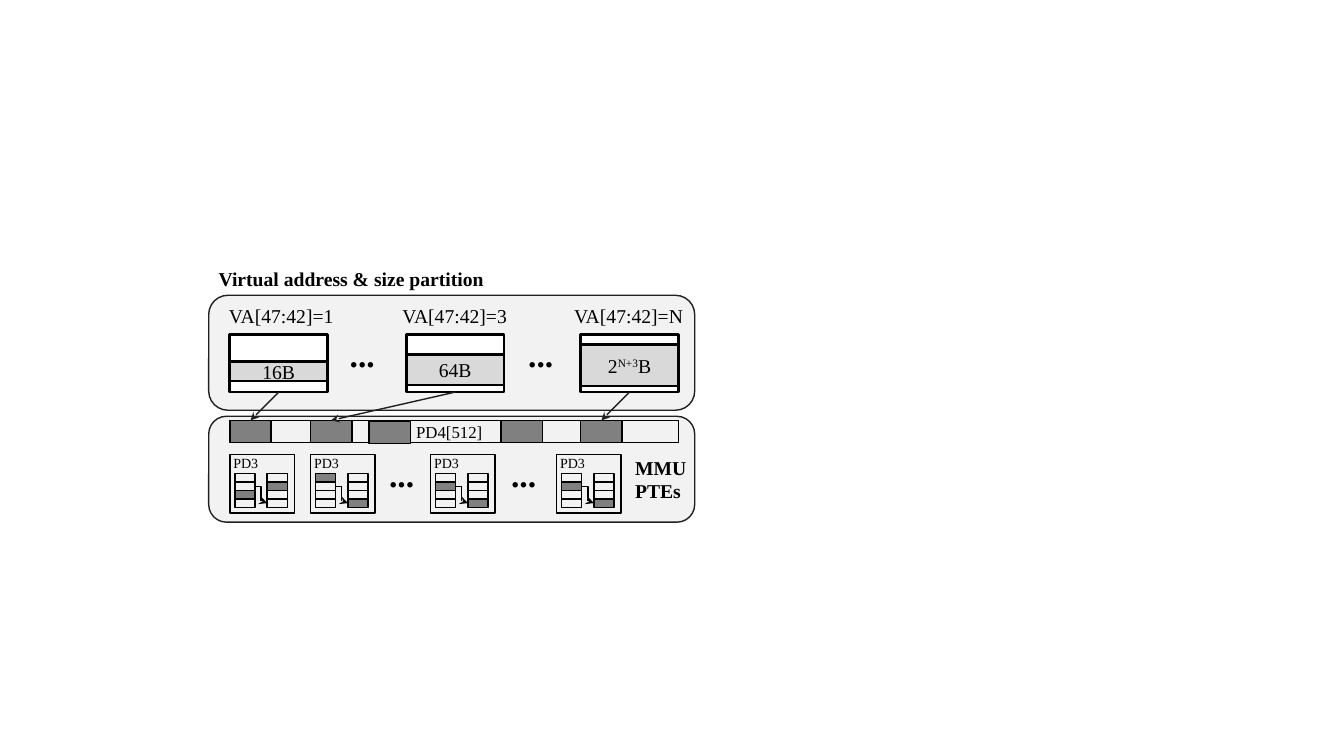
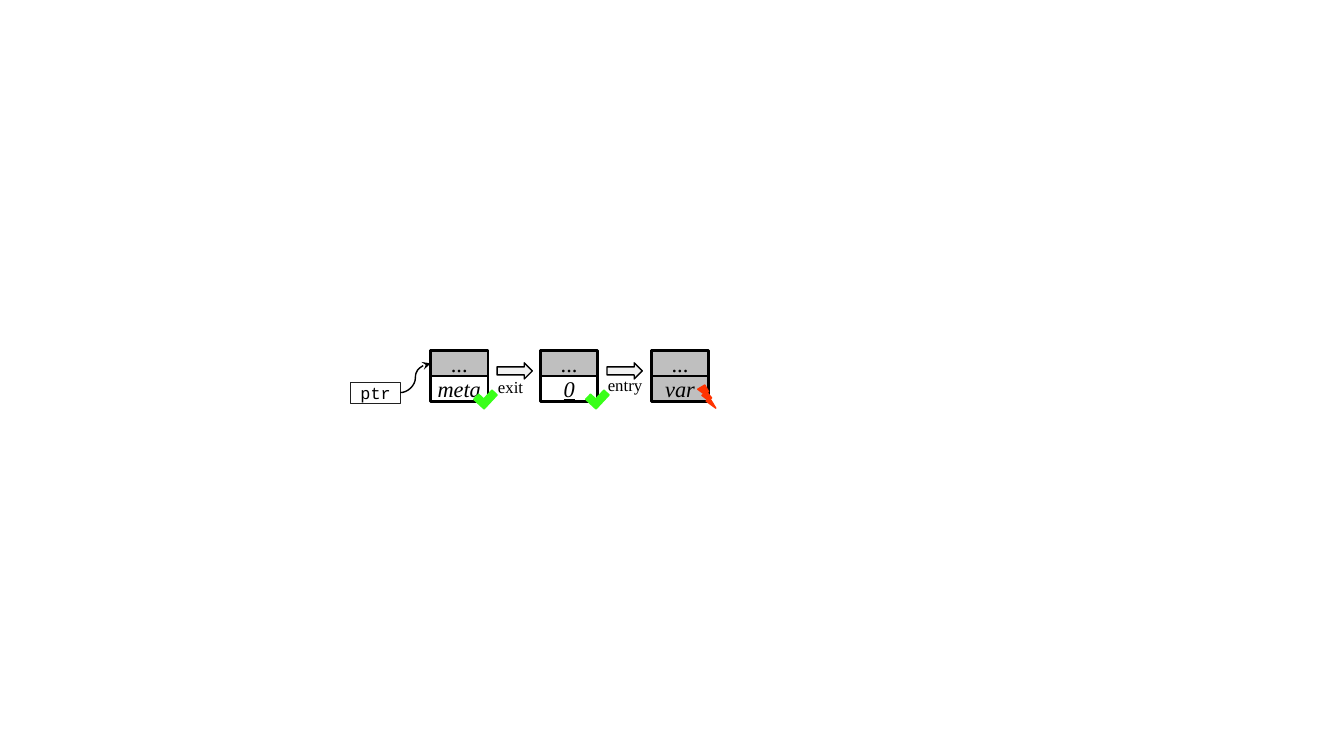
"""Build two memory-layout diagrams: size partitioning and pointer state."""
from dataclasses import dataclass
from typing import Optional

from lxml.etree import SubElement
from pptx import Presentation
from pptx.dml.color import RGBColor
from pptx.enum.shapes import MSO_CONNECTOR as Connector, MSO_SHAPE as Shape
from pptx.enum.text import MSO_ANCHOR as Anchor, MSO_AUTO_SIZE as AutoSize, PP_ALIGN as Align
from pptx.oxml.ns import qn
from pptx.util import Inches, Pt

BLACK = RGBColor(0x00, 0x00, 0x00)
INK = RGBColor(0x20, 0x20, 0x20)
WHITE = RGBColor(0xFF, 0xFF, 0xFF)
PANEL = RGBColor(0xF2, 0xF2, 0xF2)
LIGHT = RGBColor(0xD9, 0xD9, 0xD9)
SILVER = RGBColor(0xBF, 0xBF, 0xBF)
USED = RGBColor(0x80, 0x80, 0x80)
GREEN = RGBColor(0x39, 0xFF, 0x19)
RED = RGBColor(0xFF, 0x33, 0x00)
SERIF = "Times New Roman"
MONO = "Courier New"
NO_INSETS = (0, 0, 0, 0)
DEFAULT_INSETS = (0.1, 0.05, 0.1, 0.05)


@dataclass(frozen=True)
class Box:
    left: float
    top: float
    width: float
    height: float

    def lengths(self) -> tuple:
        return tuple(Inches(v) for v in (self.left, self.top, self.width, self.height))


@dataclass(frozen=True)
class TextRun:
    text: str
    size: float = 14
    font: str = SERIF
    bold: bool = False
    italic: bool = False
    underline: bool = False
    superscript: bool = False


@dataclass(frozen=True)
class Partition:
    left: float
    label: str
    label_box: Box
    block_top: float
    block_height: float
    runs: tuple
    cell_left: float


@dataclass(frozen=True)
class Directory:
    left: float
    used_left: int
    used_right: int


@dataclass(frozen=True)
class State:
    left: float
    value: TextRun
    fill: Optional[RGBColor] = None


PARTITIONS = (
    Partition(2.28, "VA[47:42]=1", Box(2.14, 3.02, 1.3, 0.24), 3.59, 0.19,
              (TextRun("16B"),), 2.28),
    Partition(4.03, "VA[47:42]=3", Box(3.85, 3.02, 1.32, 0.24), 3.52, 0.3,
              (TextRun("64B"),), 3.08),
    Partition(5.76, "VA[47:42]=N", Box(5.58, 3.02, 1.31, 0.24), 3.42, 0.41,
              (TextRun("2"), TextRun("N+3", superscript=True), TextRun("B")), 5.76),
)
EXTRA_CELLS = ((3.66, 4.18), (4.97, 4.17))
DIRECTORIES = (Directory(2.28, 2, 1), Directory(3.08, 0, 3),
               Directory(4.27, 1, 3), Directory(5.52, 1, 3))
ELLIPSES = ((3.37, 3.26), (5.14, 3.26), (3.76, 4.45), (4.97, 4.45))
STATES = (State(4.27, TextRun("meta", 16, italic=True)),
          State(5.36, TextRun("0", 16, italic=True, underline=True)),
          State(6.46, TextRun("var", 16, italic=True), SILVER))


def write(shape, runs: tuple, align: Align, anchor: Anchor, insets: tuple) -> None:
    """Fill the shape's single paragraph run by run."""
    frame = shape.text_frame
    frame.word_wrap = True
    frame.vertical_anchor = anchor
    (frame.margin_left, frame.margin_top,
     frame.margin_right, frame.margin_bottom) = (Inches(v) for v in insets)
    paragraph = frame.paragraphs[0]
    paragraph.alignment = align
    for item in runs:
        run = paragraph.add_run()
        run.text = item.text
        font = run.font
        font.name, font.size = item.font, Pt(item.size)
        font.bold, font.italic, font.underline = item.bold, item.italic, item.underline
        font.color.rgb = BLACK
        if item.superscript:
            run._r.get_or_add_rPr().set("baseline", "30000")


def add_box(shapes, box: Box, fill: Optional[RGBColor] = None, line: RGBColor = BLACK,
            weight: float = 1, kind: Shape = Shape.RECTANGLE, runs: tuple = (),
            align: Align = Align.CENTER, anchor: Anchor = Anchor.MIDDLE,
            insets: tuple = NO_INSETS):
    """Add an outlined preset shape, with text if there is any."""
    shape = shapes.add_shape(kind, *box.lengths())
    shape.shadow.inherit = False
    if fill is None:
        shape.fill.background()
    else:
        shape.fill.solid()
        shape.fill.fore_color.rgb = fill
    shape.line.color.rgb = line
    shape.line.width = Pt(weight)
    if runs:
        write(shape, runs, align, anchor, insets)
    return shape


def add_label(shapes, box: Box, run: TextRun, align: Align = Align.LEFT,
              insets: tuple = DEFAULT_INSETS) -> None:
    """Add a text box that grows with its text."""
    label = shapes.add_textbox(*box.lengths())
    write(label, (run,), align, Anchor.TOP, insets)
    label.text_frame.auto_size = AutoSize.SHAPE_TO_FIT_TEXT


def add_arrow(shapes, start, start_site: int, end, end_site: int,
              kind: Connector = Connector.STRAIGHT, color: RGBColor = BLACK) -> None:
    """Join two shapes with a stealth-headed connector."""
    arrow = shapes.add_connector(kind, 0, 0, 0, 0)
    arrow.begin_connect(start, start_site)
    arrow.end_connect(end, end_site)
    arrow.line.color.rgb = color
    arrow.line.width = Pt(1)
    SubElement(arrow.line._get_or_add_ln(), qn("a:tailEnd"), type="stealth")
    SubElement(arrow._element.spPr, qn("a:effectLst"))


def add_cell(shapes, left: float, top: float = 4.17):
    """Add one used entry of the top-level directory."""
    return add_box(shapes, Box(left, top, 0.41, 0.22), USED)


def add_directory(shapes, directory: Directory) -> None:
    """Add a grouped lower-level directory with two linked tables."""
    group = shapes.add_group_shape().shapes
    add_box(group, Box(directory.left, 4.51, 0.64, 0.58), PANEL, runs=(TextRun("PD3", 10),),
            align=Align.LEFT, anchor=Anchor.TOP, insets=(0.035, 0, 0, 0))
    pitch = 0.25 / 3
    tables = []
    for offset, used in ((0.05, directory.used_left), (0.37, directory.used_right)):
        tables.append([
            add_box(group, Box(directory.left + offset, 4.7 + row * pitch, 0.2, pitch),
                    USED if row == used else PANEL)
            for row in range(4)])
    add_arrow(group, tables[0][1], 3, tables[1][3], 1, Connector.ELBOW)


def build_partition_slide(shapes) -> None:
    """Draw the address partitions and the page tables behind them."""
    for top, height in ((4.13, 1.05), (2.93, 1.14)):
        add_box(shapes, Box(2.07, top, 4.82, height), PANEL, INK, kind=Shape.ROUNDED_RECTANGLE)
    add_label(shapes, Box(2.07, 2.6, 4.44, 0.34),
              TextRun("Virtual address & size partition", bold=True))
    add_box(shapes, Box(2.28, 4.17, 4.45, 0.22), runs=(TextRun("PD4[512]", 12),),
            insets=(0, 0, 0.1, 0))
    for part in PARTITIONS:
        region = add_box(shapes, Box(part.left, 3.32, 0.97, 0.57), WHITE, weight=2)
        add_box(shapes, Box(part.left, part.block_top, 0.97, part.block_height), LIGHT,
                weight=2, runs=part.runs, insets=DEFAULT_INSETS)
        add_label(shapes, part.label_box, TextRun(part.label), Align.CENTER, NO_INSETS)
        cell = add_cell(shapes, part.cell_left)
        add_arrow(shapes, region, 2, cell, 0, color=INK)
    for left, top in EXTRA_CELLS:
        add_cell(shapes, left, top)
    for directory in DIRECTORIES:
        add_directory(shapes, directory)
    for left, top in ELLIPSES:
        add_label(shapes, Box(left, top, 0.48, 0.5), TextRun("...", 24, bold=True))
    add_label(shapes, Box(6.2, 4.47, 0.82, 0.57), TextRun("MMU PTEs", bold=True))


def build_pointer_slide(shapes) -> None:
    """Draw the pointed-to memory on exit from and entry to a scope."""
    headers = []
    for state in STATES:
        headers.append(add_box(shapes, Box(state.left, 3.48, 0.57, 0.25), SILVER, weight=2,
                               runs=(TextRun("...", 16),)))
        add_box(shapes, Box(state.left, 3.73, 0.57, 0.25), state.fill, weight=2,
                runs=(state.value,))
    for left in (4.93, 6.02):
        add_box(shapes, Box(left, 3.6, 0.35, 0.16), PANEL, kind=Shape.RIGHT_ARROW)
    add_label(shapes, Box(4.84, 3.69, 0.68, 0.3), TextRun("exit", 12))
    add_label(shapes, Box(5.93, 3.67, 0.73, 0.3), TextRun("entry", 12))
    pointer = add_box(shapes, Box(3.48, 3.79, 0.49, 0.21), line=INK, weight=0.75,
                      runs=(TextRun("ptr", 12, MONO),))
    add_arrow(shapes, pointer, 3, headers[0], 1, Connector.CURVE)
    for left in (4.72, 5.83):
        check = add_box(shapes, Box(left, 3.87, 0.19, 0.14), GREEN, GREEN, kind=Shape.CORNER)
        check.rotation = 313
    add_box(shapes, Box(6.92, 3.82, 0.18, 0.23), RED, RED, kind=Shape.LIGHTNING_BOLT)


def main() -> None:
    """Create the presentation and save it."""
    presentation = Presentation()
    presentation.slide_width = Inches(13.33)
    presentation.slide_height = Inches(7.5)
    blank = presentation.slide_layouts[6]
    for build in (build_partition_slide, build_pointer_slide):
        build(presentation.slides.add_slide(blank).shapes)
    presentation.save("out.pptx")


if __name__ == "__main__":
    main()
